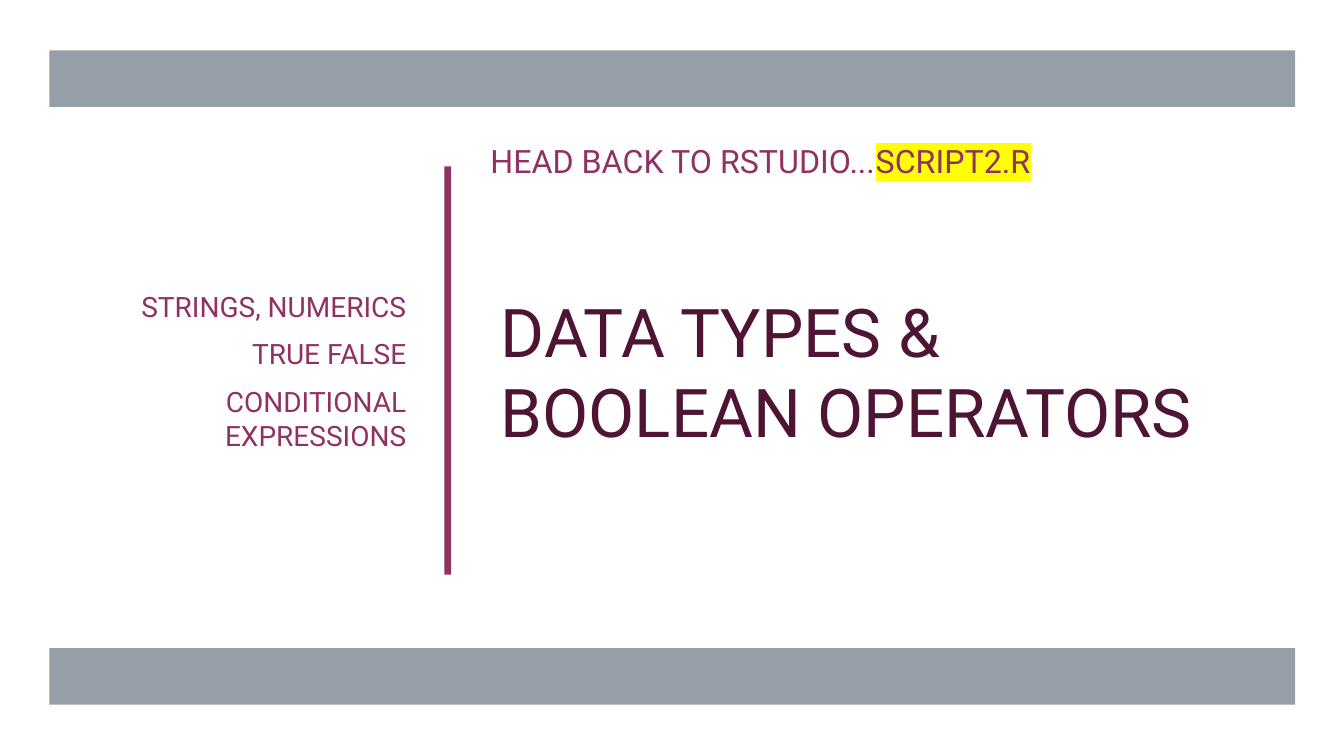
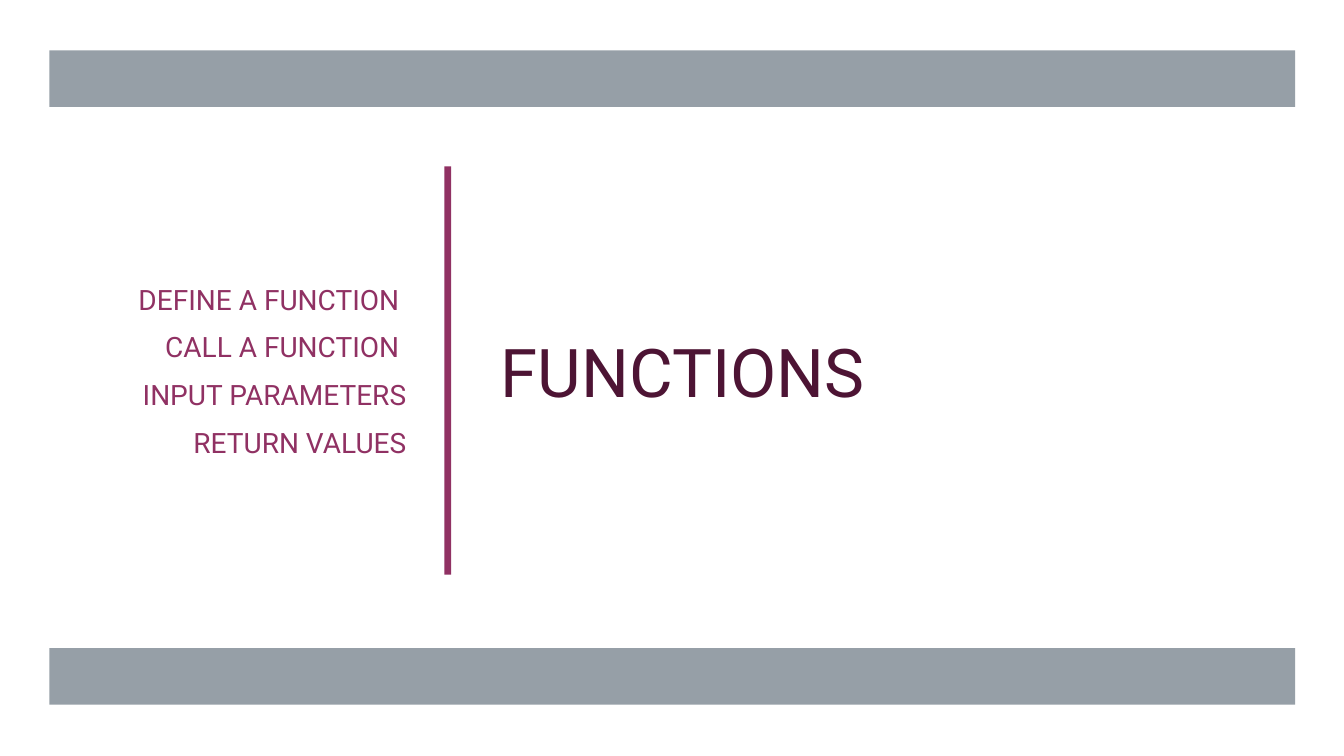
"""Build two section slides that share bands, a divider, a title and a topic list."""
from lxml.etree import SubElement
from pptx import Presentation
from pptx.dml.color import RGBColor
from pptx.enum.shapes import MSO_SHAPE
from pptx.enum.text import MSO_ANCHOR, PP_ALIGN
from pptx.oxml.ns import qn
from pptx.util import Pt

FONT = "Roboto"
HEX = {"white": "FFFFFF", "band": "969FA7", "plum": "903163",
       "dark": "4D1434", "mark": "FFFF00"}
LEFT, WIDE = 35.3, 889.9
TOP, TALL = 118.8, 291.6
BARS = [
    (LEFT, 36, WIDE, 40.3, "band"),
    (317.5, TOP, 4.7, TALL, "plum"),
    (LEFT, 463, WIDE, 40.3, "band"),
]
DECK = [
    ("DATA TYPES &\vBOOLEAN OPERATORS",
     ["STRINGS, NUMERICS", "TRUE FALSE", "CONDITIONAL EXPRESSIONS"],
     ["HEAD BACK TO RSTUDIO...", "SCRIPT2.R"]),
    ("FUNCTIONS",
     ["DEFINE A FUNCTION ", "CALL A FUNCTION ", "INPUT PARAMETERS", "RETURN VALUES"],
     []),
]


def add_bar(slide, x, y, w, h, tint):
    bar = slide.shapes.add_shape(MSO_SHAPE.RECTANGLE, Pt(x), Pt(y), Pt(w), Pt(h))
    bar.shadow.inherit = False
    bar.fill.solid()
    bar.fill.fore_color.rgb = RGBColor.from_string(HEX[tint])
    bar.line.fill.background()


def add_text(slide, spot, paras, size, tint, align, anchor=MSO_ANCHOR.MIDDLE):
    frame = slide.shapes.add_textbox(*map(Pt, spot)).text_frame
    frame.word_wrap = True
    frame.vertical_anchor = anchor
    for i, parts in enumerate(paras):
        para = frame.add_paragraph() if i else frame.paragraphs[0]
        para.alignment = align
        para.space_before = Pt(size * 0.2 if i else 0)
        para.space_after = Pt(6 if len(paras) > 1 else 0)
        para.text = parts[0]
        for part in parts[1:]:
            para.add_run().text = part
        for run in para.runs:
            run.font.size = Pt(size)
            run.font.name = FONT
            run.font.color.rgb = RGBColor.from_string(HEX[tint])
    return frame


prs = Presentation()
prs.slide_width, prs.slide_height = Pt(960), Pt(540)

for title, topics, note in DECK:
    slide = prs.slides.add_slide(prs.slide_layouts[6])
    slide.background.fill.solid()
    slide.background.fill.fore_color.rgb = RGBColor.from_string(HEX["white"])
    for bar in BARS:
        add_bar(slide, *bar)
    add_text(slide, (350.6, TOP, 574.6, TALL), [[title]], 48, "dark", PP_ALIGN.LEFT)
    add_text(slide, (LEFT, TOP, 262.1, TALL), [[t] for t in topics], 20, "plum",
             PP_ALIGN.RIGHT)
    if note:
        frame = add_text(slide, (274.3, 97.2, 537.8, 85.7), [note], 23, "plum",
                         PP_ALIGN.CENTER, MSO_ANCHOR.TOP)
        props = frame.paragraphs[0].runs[-1].font._element
        light = SubElement(props, qn("a:highlight"))
        SubElement(light, qn("a:srgbClr")).set("val", HEX["mark"])
        props.find(qn("a:solidFill")).addnext(light)

prs.save("out.pptx")
